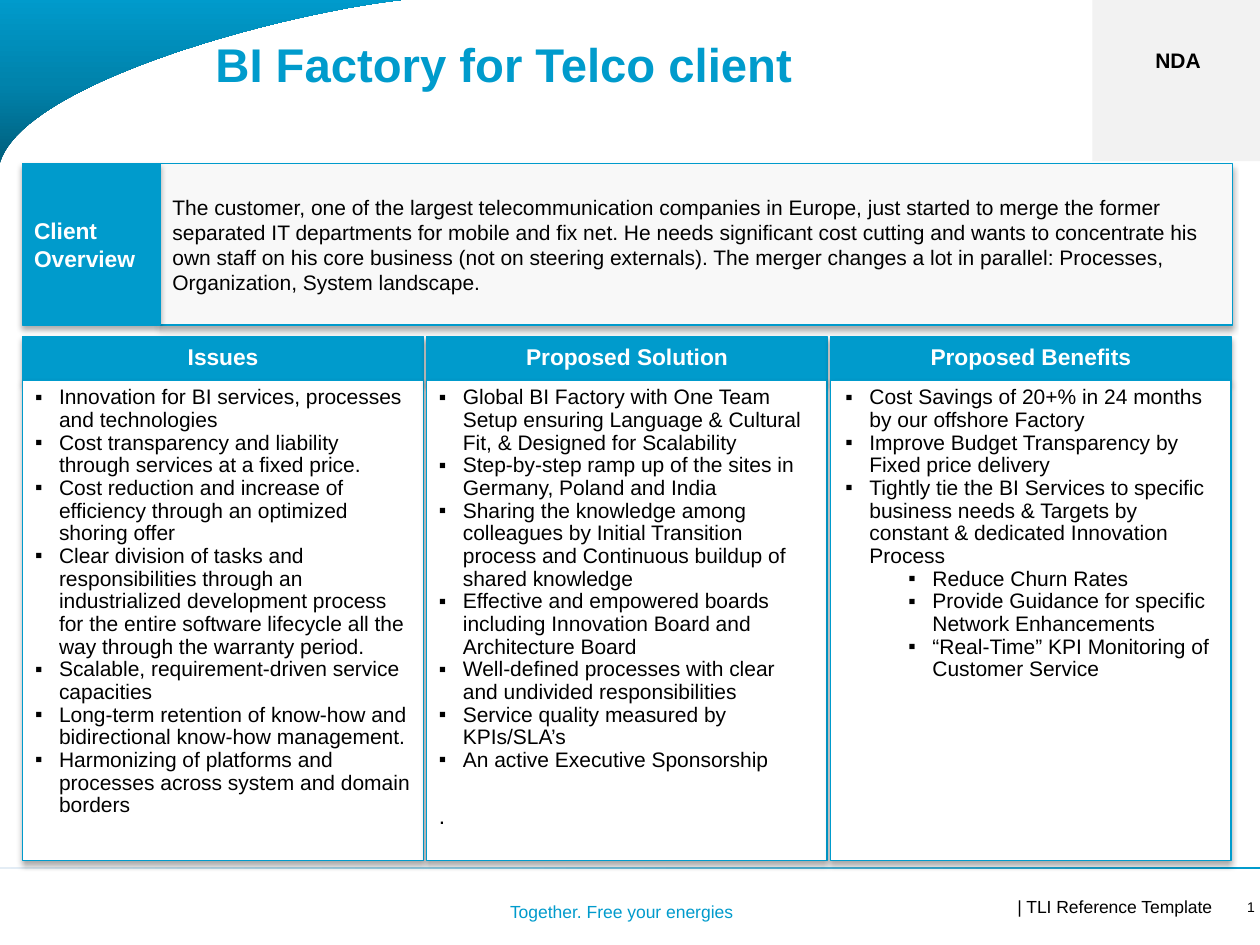
from lxml.etree import SubElement
from pptx import Presentation
from pptx.dml.color import RGBColor
from pptx.enum.shapes import MSO_SHAPE
from pptx.enum.text import MSO_ANCHOR, MSO_AUTO_SIZE, PP_ALIGN
from pptx.oxml.ns import qn
from pptx.util import Inches, Pt

COLORS = {
    "brand": "009BCC", "brand_mid": "0083AC", "brand_dark": "005C79",
    "pale": "E4EDF5", "corner": "F2F2F2", "panel": "F8F8F8",
    "white": "FFFFFF", "black": "000000",
}
OVERVIEW = (
    "The customer, one of the largest telecommunication companies in Europe, "
    "just started to merge the former separated IT departments for mobile and fix net. "
    "He needs significant cost cutting and wants to concentrate his own staff on his "
    "core business (not on steering externals). The merger changes a lot in parallel: "
    "Processes, Organization, System landscape."
)
COLUMNS = [
    ("Issues", [
        "Innovation for BI services, processes and technologies",
        "Cost transparency and liability through services at a fixed price.",
        "Cost reduction and increase of efficiency through an optimized shoring offer",
        "Clear division of tasks and responsibilities through an industrialized development "
        "process for the entire software lifecycle all the way through the warranty period.",
        "Scalable, requirement-driven service capacities",
        "Long-term retention of know-how and bidirectional know-how management.",
        "Harmonizing of platforms and processes across system and domain borders",
    ], []),
    ("Proposed Solution", [
        "Global BI Factory with One Team Setup ensuring Language & Cultural Fit, "
        "& Designed for Scalability",
        "Step-by-step ramp up of the sites in Germany, Poland and India",
        "Sharing the knowledge among colleagues by Initial Transition process and "
        "Continuous buildup of shared knowledge",
        "Effective and empowered boards including Innovation Board and Architecture Board",
        "Well-defined processes with clear and undivided responsibilities",
        "Service quality measured by KPIs/SLA’s",
        "An active Executive Sponsorship",
    ], []),
    ("Proposed Benefits", [
        "Cost Savings of 20+% in 24 months\nby our offshore Factory",
        "Improve Budget Transparency by Fixed price delivery",
        "Tightly tie the BI Services to specific business needs & Targets by constant "
        "& dedicated Innovation Process",
    ], [
        "Reduce Churn Rates",
        "Provide Guidance for specific Network Enhancements",
        "“Real-Time” KPI Monitoring of Customer Service",
    ]),
]
PLAIN_INSETS = (0.1, 0.05, 0.1, 0.05)


def rgb(name):
    """Return the named colour."""
    return RGBColor.from_string(COLORS[name])


def apply(target, values):
    """Set each attribute in values on target."""
    for name, value in values.items():
        setattr(target, name, value)


def set_frame(frame, insets=PLAIN_INSETS, **values):
    """Set the insets and other properties of a text frame."""
    sides = ("margin_left", "margin_top", "margin_right", "margin_bottom")
    margins = {side: Inches(inset) for side, inset in zip(sides, insets)}
    defaults = {"word_wrap": True, "vertical_anchor": MSO_ANCHOR.TOP,
                "auto_size": MSO_AUTO_SIZE.NONE}
    apply(frame, {**defaults, **margins, **values})


def write(paragraph, text, size, color="black", bold=False, **values):
    """Fill a paragraph with formatted text."""
    paragraph.text = text
    apply(paragraph, {"alignment": PP_ALIGN.LEFT, **values})
    for run in paragraph.runs:
        apply(run.font, {"name": "Arial", "size": Pt(size), "bold": bold})
        run.font.color.rgb = rgb(color)


def indent(paragraph, left, first=0):
    """Set the left margin and first-line indent."""
    properties = paragraph._p.get_or_add_pPr()
    properties.set("marL", str(Inches(left)))
    properties.set("indent", str(Inches(first)))


def add_bullet(frame, text, level=0):
    """Append a square-bulleted paragraph."""
    paragraph = frame.paragraphs[0] if not frame.text else frame.add_paragraph()
    write(paragraph, text, 12, line_spacing=0.9, level=level)
    indent(paragraph, 0.19 + 0.25 * level, -0.19)
    properties = paragraph._p.get_or_add_pPr()
    bullet_color = SubElement(properties, qn("a:buClr"))
    SubElement(bullet_color, qn("a:srgbClr"), val=COLORS["black"])
    SubElement(properties, qn("a:buFont"), typeface="Arial")
    SubElement(properties, qn("a:buChar"), char="▪")


def add_label(slide, box, text, size, frame_values, **text_values):
    """Add a text box with one paragraph and return the paragraph."""
    label = slide.shapes.add_textbox(*map(Inches, box))
    set_frame(label.text_frame, **frame_values)
    write(label.text_frame.paragraphs[0], text, size, **text_values)
    return label.text_frame.paragraphs[0]


def add_block(slide, box, fill=None):
    """Add a borderless rectangle."""
    block = slide.shapes.add_shape(MSO_SHAPE.RECTANGLE, *map(Inches, box))
    block.shadow.inherit = False
    block.line.fill.background()
    if fill:
        block.fill.solid()
        block.fill.fore_color.rgb = rgb(fill)
    return block


def add_panel(slide, box, fill):
    """Add an outlined rectangle with a soft shadow and return its text frame."""
    panel = add_block(slide, box, fill)
    panel.line.color.rgb = rgb("brand")
    panel.line.width = Pt(0.75)
    effects = panel._element.spPr.find(qn("a:effectLst"))
    shadow = SubElement(effects, qn("a:outerShdw"), blurRad=str(Pt(3.5)),
                        dist=str(Pt(2.2)), dir="5400000", rotWithShape="0")
    tint = SubElement(shadow, qn("a:srgbClr"), val=COLORS["black"])
    SubElement(tint, qn("a:alpha"), val="32000")
    return panel.text_frame


def fill_gradient(shape, names, angle):
    """Fill a shape with evenly spaced gradient colours."""
    shape.fill.gradient()
    shape.fill.gradient_angle = angle
    stops = shape._element.spPr.find(".//" + qn("a:gsLst"))
    for stop in list(stops):
        stops.remove(stop)
    for index, name in enumerate(names):
        position = round(100000 * index / (len(names) - 1))
        stop = SubElement(stops, qn("a:gs"), pos=str(position))
        SubElement(stop, qn("a:srgbClr"), val=COLORS[name])


def add_swoosh(slide):
    """Add the curved gradient corner."""
    controls = [(-0.01, 1.34), (0.09, 0.62), (2.66, -0.01), (3.47, -0.02)]
    steps = 48
    curve = []
    for step in range(steps + 1):
        t = step / steps
        weights = ((1 - t) ** 3, 3 * t * (1 - t) ** 2, 3 * t * t * (1 - t), t ** 3)
        curve.append(tuple(Inches(sum(w * point[axis] for w, point in zip(weights, controls)))
                           for axis in (0, 1)))
    builder = slide.shapes.build_freeform(Inches(-0.02), Inches(-0.02))
    builder.add_line_segments(curve, close=True)
    swoosh = builder.convert_to_shape()
    swoosh.shadow.inherit = False
    swoosh.line.fill.background()
    fill_gradient(swoosh, ("brand_dark", "brand_mid", "brand"), 90)


def add_slide_number(slide):
    """Add the slide number as a live field."""
    paragraph = add_label(slide, (9.78, 7.14, 0.22, 0.11), "1", 8,
                          {"insets": (0.04, 0, 0.04, 0), "word_wrap": False,
                           "vertical_anchor": MSO_ANCHOR.MIDDLE}, alignment=PP_ALIGN.RIGHT)
    run = paragraph.runs[0]._r
    field = SubElement(paragraph._p, qn("a:fld"), type="slidenum",
                       id="{B6F15528-21DE-4FAA-801E-634DDDAF4B2B}")
    field.extend(list(run))
    paragraph._p.remove(run)


def add_title(slide):
    """Format and fill the title placeholder."""
    title = slide.shapes.title
    apply(title, {"left": 0, "top": 0, "width": Inches(8.67), "height": Inches(1.33)})
    set_frame(title.text_frame, (0.08, 0.28, 0.08, 0.04))
    heading = title.text_frame.paragraphs[0]
    write(heading, "BI Factory for Telco client", 27, "brand", True)
    indent(heading, 1.63)


def add_overview(slide):
    """Add the client overview band."""
    body = add_panel(slide, (1.27, 1.3, 8.51, 1.28), "panel")
    set_frame(body, (0.1,) * 4, vertical_anchor=MSO_ANCHOR.MIDDLE)
    write(body.paragraphs[0], OVERVIEW, 12, space_before=Pt(3))
    heading = add_panel(slide, (0.18, 1.3, 1.09, 1.28), "brand")
    set_frame(heading, (0.09, 0.04, 0.09, 0.04), vertical_anchor=MSO_ANCHOR.MIDDLE)
    write(heading.paragraphs[0], "Client Overview", 13, "white", True)


def add_column(slide, left, heading, points, subpoints):
    """Add a headed column of bullets and return its text frame."""
    header = add_panel(slide, (left, 2.67, 3.18, 0.35), "brand")
    set_frame(header, word_wrap=False, vertical_anchor=MSO_ANCHOR.MIDDLE)
    write(header.paragraphs[0], heading, 13, "white", True,
          alignment=PP_ALIGN.CENTER, line_spacing=0.9)
    body = add_panel(slide, (left, 3.02, 3.18, 3.81), "white")
    set_frame(body, (0.12, *PLAIN_INSETS[1:]) if subpoints else PLAIN_INSETS)
    for level, texts in ((0, points), (2, subpoints)):
        for text in texts:
            add_bullet(body, text, level)
    return body


def main():
    """Build and save the slide."""
    deck = Presentation()
    apply(deck, {"slide_width": Inches(10), "slide_height": Inches(7.5)})
    slide = deck.slides.add_slide(deck.slide_layouts[5])
    add_label(slide, (8, 7.06, 1.7, 0.27), "| TLI Reference Template", 10,
              {"insets": (0.04, 0.05, 0.08, 0.05), "word_wrap": False},
              alignment=PP_ALIGN.RIGHT, space_before=Pt(1))
    add_label(slide, (3.95, 7.1, 2.13, 0.24), "Together. Free your energies", 10,
              {"word_wrap": False}, color="brand")
    fill_gradient(add_block(slide, (0, 6.88, 10.04, 0.02)), ("pale", "brand"), 0)
    add_swoosh(slide)
    add_block(slide, (8.67, 0, 1.33, 1.28), "corner")
    add_title(slide)
    add_slide_number(slide)
    add_overview(slide)
    bodies = [add_column(slide, 0.18 + 3.205 * index, *column)
              for index, column in enumerate(COLUMNS)]
    write(bodies[1].add_paragraph(), ".", 13, space_before=Pt(17))
    add_label(slide, (8.89, 0.33, 0.92, 0.3), "NDA", 12, {}, bold=True,
              alignment=PP_ALIGN.CENTER)
    deck.save("out.pptx")


if __name__ == "__main__":
    main()
